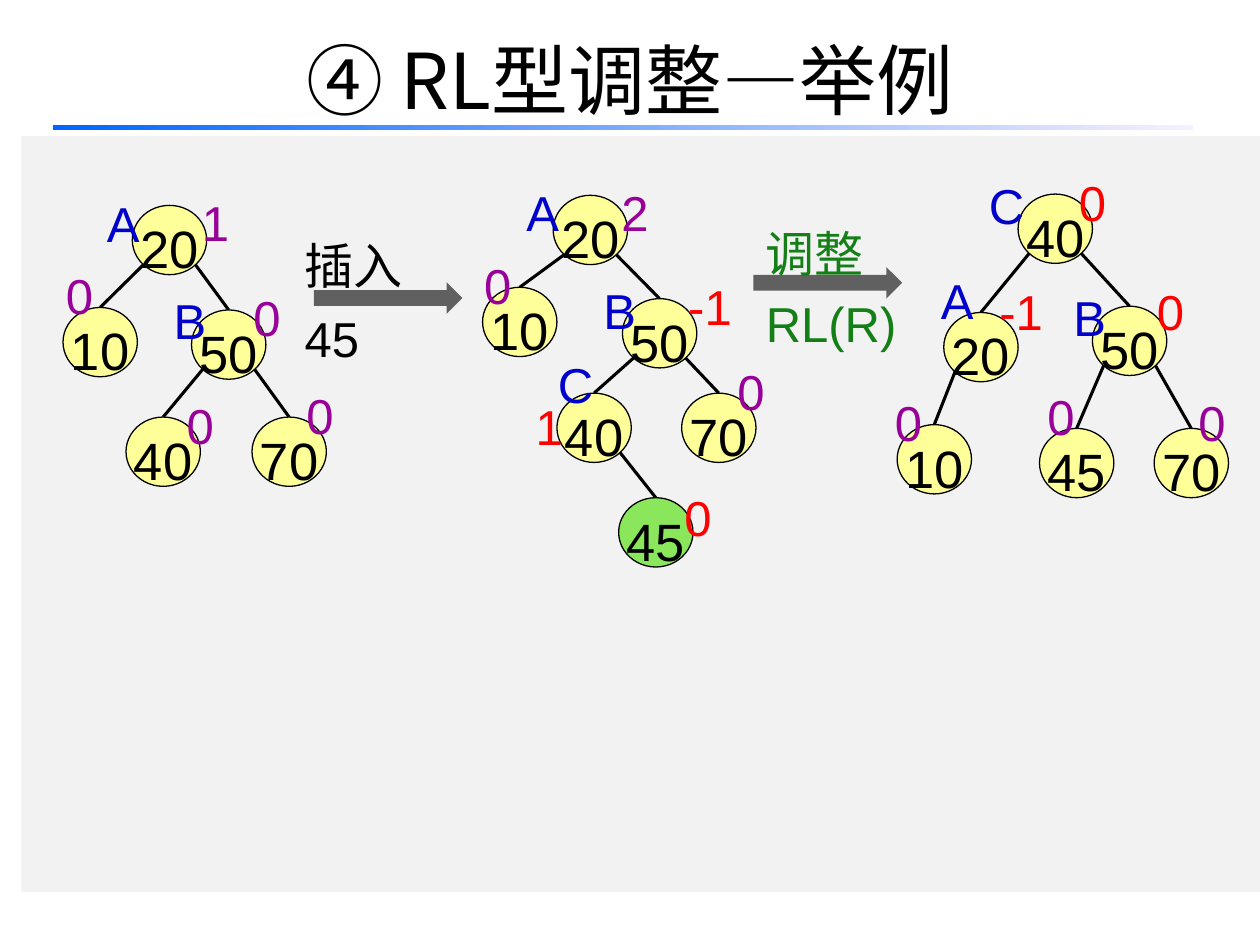
import pptx
import pptx.util
import pptx.dml.color
import pptx.enum.shapes
import pptx.enum.text
import pptx.oxml.ns
from lxml import etree

Inches, Pt = pptx.util.Inches, pptx.util.Pt
SHAPE = pptx.enum.shapes.MSO_SHAPE
ALIGN = pptx.enum.text.PP_ALIGN
ANCHOR = pptx.enum.text.MSO_ANCHOR
AUTO = pptx.enum.text.MSO_AUTO_SIZE
qn = pptx.oxml.ns.qn

# Content
TITLE = "④ RL型调整—举例"
CJK = "Noto Sans CJK SC"
BLACK, BLUE, PURPLE, RED, GREEN = "000000", "0000CC", "990099", "FF0000", "137F16"
YELLOW, NEW = "FFFF99", "8AE75B"
W, H = 0.59, 0.55  # node size

# Each node: key, x, y, parent key, fill, (balance, x, y, colour), (name, x, y)
TREES = [
    [  # before insertion
        (20, 1.05, 1.63, None, YELLOW, ("1", 1.5, 1.36, PURPLE), ("A", 0.75, 1.37)),
        (50, 1.52, 2.46, 20, YELLOW, ("0", 1.91, 2.12, PURPLE), ("B", 1.28, 2.14)),
        (10, 0.5, 2.44, 20, YELLOW, ("0", 0.42, 1.94, PURPLE), None),
        (40, 1, 3.31, 50, YELLOW, ("0", 1.38, 2.97, PURPLE), None),
        (70, 2, 3.31, 50, YELLOW, ("0", 2.33, 2.89, PURPLE), None),
    ],
    [  # after inserting 45
        (20, 4.39, 1.55, None, YELLOW, ("2", 4.83, 1.28, PURPLE), ("A", 4.08, 1.28)),
        (50, 4.94, 2.37, 20, YELLOW, ("-1", 5.36, 2.03, RED), ("B", 4.69, 2.06)),
        (10, 3.83, 2.28, 20, YELLOW, ("0", 3.74, 1.86, PURPLE), None),
        (40, 4.42, 3.12, 50, YELLOW, ("1", 4.15, 2.98, RED), ("C", 4.33, 2.65)),
        (70, 5.41, 3.12, 50, YELLOW, ("0", 5.75, 2.7, PURPLE), None),
        (45, 4.91, 3.95, 40, NEW, ("0", 5.33, 3.7, RED), None),
    ],
    [  # after the RL rotation
        (40, 8.08, 1.54, None, YELLOW, ("0", 8.46, 1.2, RED), ("C", 7.75, 1.23)),
        (20, 7.49, 2.48, 40, YELLOW, ("-1", 7.83, 2.07, RED), ("A", 7.37, 1.98)),
        (50, 8.67, 2.43, 40, YELLOW, ("0", 9.08, 2.07, RED), ("B", 8.42, 2.12)),
        (70, 9.16, 3.4, 50, YELLOW, ("0", 9.41, 2.95, PURPLE), None),
        (45, 8.25, 3.4, 50, YELLOW, ("0", 8.21, 2.9, PURPLE), None),
        (10, 7.12, 3.37, 20, YELLOW, ("0", 7, 2.95, PURPLE), None),
    ],
]
ARROWS = [(2.49, 2.24), (5.98, 2.12)]

prs = pptx.Presentation()
prs.slide_width, prs.slide_height = Inches(10), Inches(7.5)
s = prs.slides.add_slide(prs.slide_layouts[5])


def rgb(value):
    return pptx.dml.color.RGBColor.from_string(value)


def write(tf, lines, size, color, font="Arial", align=ALIGN.LEFT, spacing=None, before=None):
    for i, line in enumerate(lines):
        p = tf.paragraphs[0] if i == 0 else tf.add_paragraph()
        p.alignment = align
        if spacing:
            p.line_spacing = spacing
        if before:  # spacing before, as a share of the line
            pPr = p._p.get_or_add_pPr()
            gap = etree.SubElement(pPr, qn("a:spcBef"))
            etree.SubElement(gap, qn("a:spcPct")).set("val", str(before * 1000))
        r = p.add_run()
        r.text = line
        for name, value in {"size": Pt(size), "name": font}.items():
            setattr(r.font, name, value)
        r.font.color.rgb = rgb(color)
        etree.SubElement(r._r.get_or_add_rPr(), qn("a:ea")).set("typeface", CJK)


def shape(kind, x, y, w, h, fill=None, line=None):
    sp = s.shapes.add_shape(kind, Inches(x), Inches(y), Inches(w), Inches(h))
    sp.shadow.inherit = False
    if fill:
        sp.fill.solid()
        sp.fill.fore_color.rgb = rgb(fill)
    if line:
        sp.line.color.rgb = rgb(line)
        sp.line.width = Pt(0.75)
    else:
        sp.line.fill.background()
    return sp


def label(lines, x, y, w, h, color, wrap=False, **formats):
    tf = s.shapes.add_textbox(Inches(x), Inches(y), Inches(w), Inches(h)).text_frame
    tf.word_wrap = wrap
    tf.auto_size = AUTO.SHAPE_TO_FIT_TEXT
    write(tf, lines, 28, color, **formats)


def edge(parent, child):
    (px, py), (cx, cy) = parent, child
    start = px + (0.09 if cx < px else W - 0.09)
    points = [Inches(v) for v in (start, py + 0.47, cx + W / 2, cy)]
    c = s.shapes.add_connector(pptx.enum.shapes.MSO_CONNECTOR.STRAIGHT, *points)
    c.line.color.rgb = rgb(BLACK)
    c.line.width = Pt(1.75)
    etree.SubElement(c._element.spPr, qn("a:effectLst"))


# Title, rule and panel
title = s.shapes.title
for name, value in {"left": 0.5, "top": 0, "width": 9, "height": 1.25}.items():
    setattr(title, name, Inches(value))
title.text_frame.vertical_anchor = ANCHOR.MIDDLE
write(title.text_frame, [TITLE], 44, BLACK, font=CJK, align=ALIGN.CENTER)

rule = shape(SHAPE.RECTANGLE, 0.42, 0.99, 9.05, 0.04)
rule.fill.gradient()
rule.fill.gradient_angle = 0
for stop, color in zip(rule.fill.gradient_stops, ("0066FF", "F7EFFF")):
    stop.color.rgb = rgb(color)
shape(SHAPE.RECTANGLE, 0.17, 1.08, 9.83, 6, "F2F2F2")

# Trees
loose = {"spacing": 1.25, "before": 30}
for tree in TREES:
    places = {key: (x, y) for key, x, y, *_ in tree}
    for key, x, y, parent, fill, balance, name in tree:
        if parent:
            edge(places[parent], (x, y))
        tf = shape(SHAPE.OVAL, x, y, W, H, fill, BLACK).text_frame
        tf.word_wrap = False
        tf.vertical_anchor = ANCHOR.MIDDLE
        write(tf, [str(key)], 30, BLACK, align=ALIGN.CENTER, **loose)
    # Labels lie above all nodes of the tree
    for *_, (text, bx, by, color), name in tree:
        width = 0.55 if len(text) > 1 else 0.42
        label([text], bx, by, width, 0.63, color, align=ALIGN.CENTER, **loose)
        if name:
            letter, nx, ny = name
            label([letter], nx, ny, 0.49 if letter == "C" else 0.46, 0.63, BLUE, **loose)

# Steps between the trees
for x, y in ARROWS:
    shape(SHAPE.RIGHT_ARROW, x, y, 1.18, 0.25, "606060")
label(["插入45"], 2.32, 1.7, 1.25, 0.69, BLACK, wrap=True, **loose)
label(["调整", "RL(R)"], 5.98, 1.63, 1.25, 1.23, GREEN, spacing=1.2)

prs.save("out.pptx")
